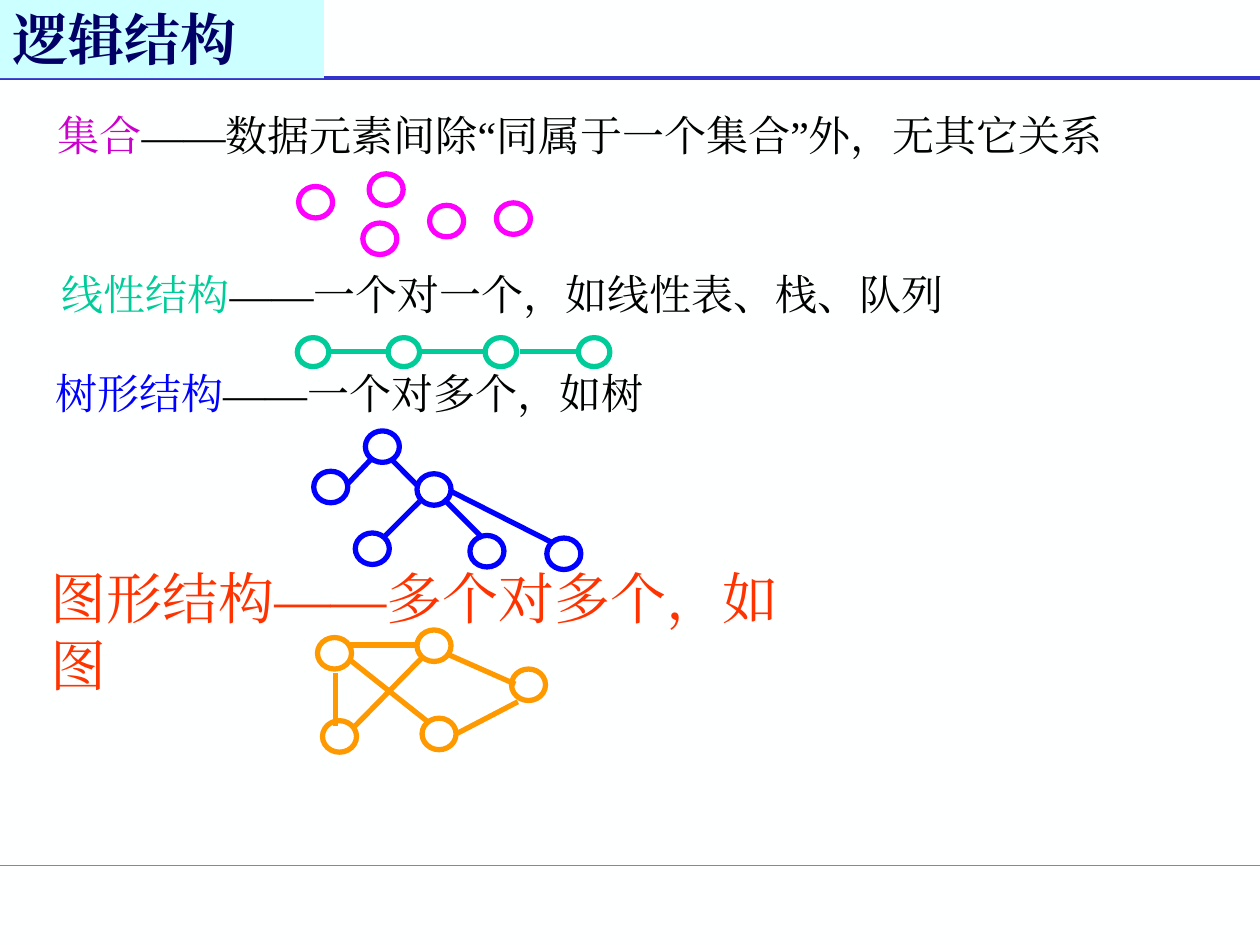
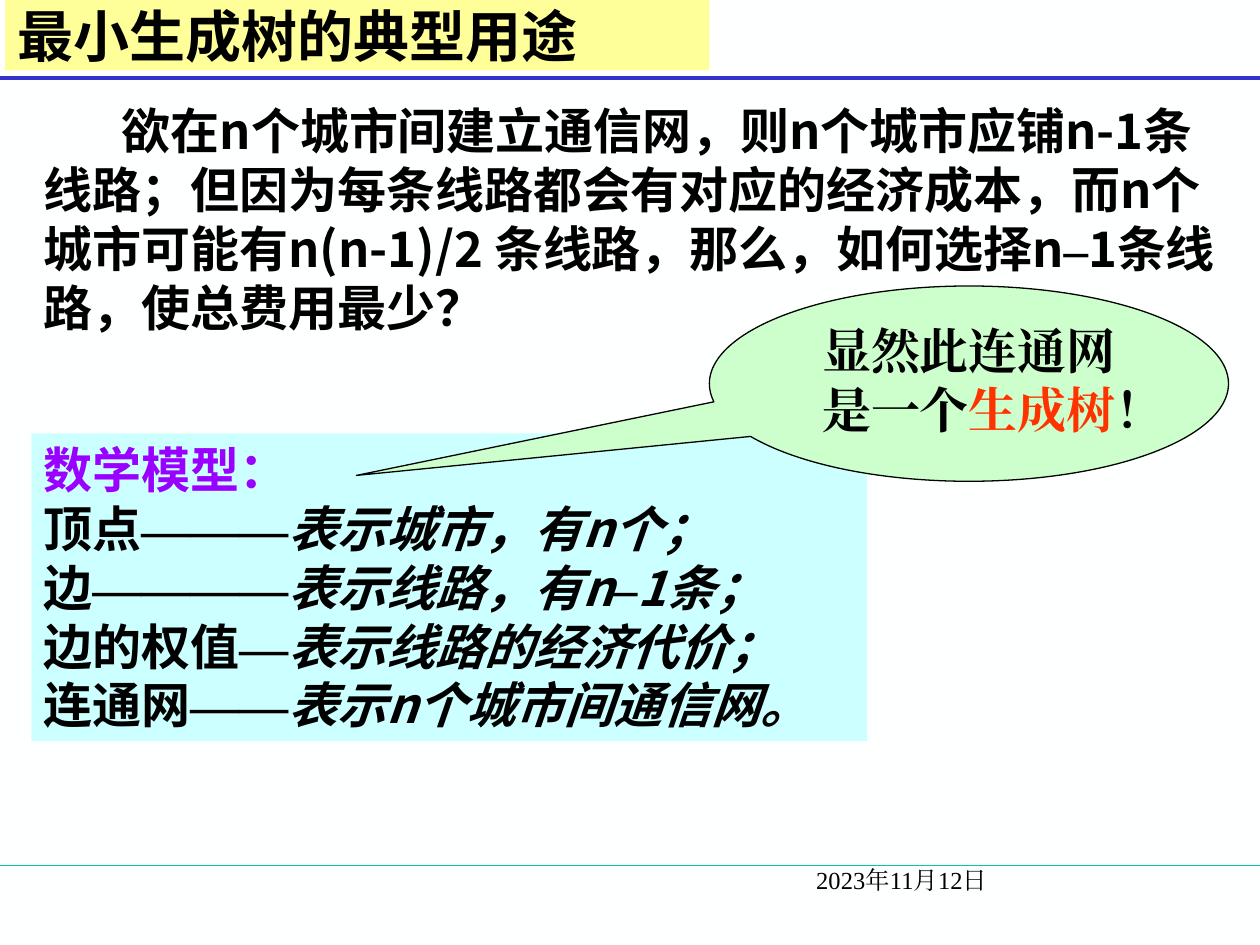
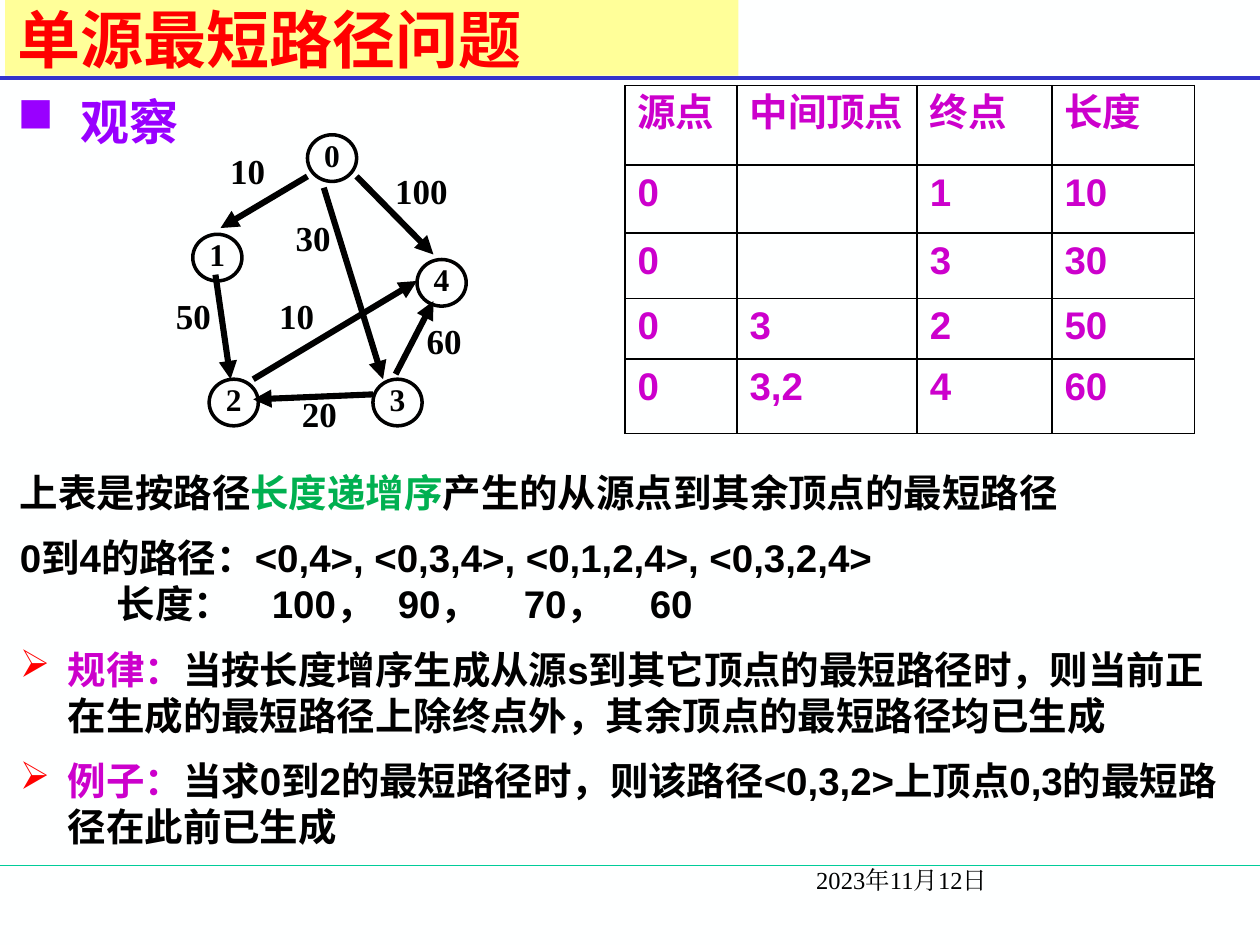
from lxml.etree import SubElement as Sub
from pptx import Presentation
from pptx.dml.color import RGBColor as Rgb
from pptx.enum.shapes import MSO_CONNECTOR as Conn, MSO_SHAPE as Kind
from pptx.enum.text import MSO_ANCHOR as Anchor, MSO_AUTO_SIZE as Fit, PP_ALIGN as Align
from pptx.oxml.ns import qn
from pptx.util import Emu, Pt

PX = 9144  # one px is a hundredth of an inch
HUE = {
    "paper": "FEFFFF", "black": "000000", "rule": "3333CC", "green": "00CC99",
    "pink": "FF00FF", "plum": "CC00CC", "blue": "0000FF", "amber": "FF9900",
    "orange": "FF3300", "navy": "000066", "cyan": "CCFFFF", "yellow": "FFFF99",
    "mint": "CCFFCC", "violet": "9900FF", "red": "FF0000", "leaf": "00B050",
}
TIMES, NOTO, ARIAL = "Times New Roman", "Noto Sans CJK SC", "Arial"


def px(num):
    return Emu(num * PX)


def rgb(name):
    return Rgb.from_string(HUE[name])


class Deck:
    def __init__(self):
        self.prs = Presentation()
        self.prs.slide_width, self.prs.slide_height = px(1000), px(750)
        back = self.prs.slide_master.background.fill
        back.solid()
        back.fore_color.rgb = rgb("paper")

    def page(self, title, box, fill, date=None, **look):
        """Start a slide with its rules, title band and date."""
        self.slide = self.prs.slides.add_slide(self.prs.slide_layouts[5])
        self.pen = self.slide.shapes
        self.line((0, 687, 1000, 687), "green", 0.75)
        self.line((0, 62, 1000, 62), "rule", 2.25)
        if date:
            self.text((540, 682, 483, 50), [date], size=14, first=98)
        head = self.slide.shapes.title
        head.element.getparent().append(head.element)
        head.left, head.top, head.width, head.height = map(px, box)
        self.paint(head, fill)
        anchor = look.pop("anchor", Anchor.MIDDLE)
        self.fill(head.text_frame, [title], anchor=anchor, bold=True, **look)

    def group(self):
        self.pen = self.slide.shapes.add_group_shape().shapes

    def ungroup(self):
        self.pen = self.slide.shapes

    def paint(self, shape, fill=None, edge=None, width=1):
        if fill:
            shape.fill.solid()
            shape.fill.fore_color.rgb = rgb(fill)
        else:
            shape.fill.background()
        if edge:
            shape.line.color.rgb = rgb(edge)
            shape.line.width = Pt(width)
        else:
            shape.line.fill.background()

    def style(self, font, size=None, face=None, hue=None, bold=None, slant=None):
        if size:
            font.size = Pt(size)
        if hue:
            font.color.rgb = rgb(hue)
        if bold is not None:
            font.bold = bold
        if slant is not None:
            font.italic = slant
        if face:
            font.name = face
            Sub(font._rPr, qn("a:ea"), typeface=face)

    def para(self, par, runs, size=24, face=TIMES, hue="black", bold=None,
             align=Align.LEFT, space=None, after=None, left=0, first=0,
             mark=None, tint=None, tabs=()):
        """Fill a paragraph; a run is a string or a (string, look) pair."""
        prop = par._p.get_or_add_pPr()
        prop.set("marL", str(px(left)))
        prop.set("indent", str(px(first)))
        if tint:
            Sub(Sub(prop, qn("a:buClr")), qn("a:srgbClr"), val=HUE[tint])
        if mark:
            Sub(prop, qn("a:buChar"), char=mark)
        else:
            Sub(prop, qn("a:buNone"))
        if tabs:
            stops = Sub(prop, qn("a:tabLst"))
            for pos in tabs:
                Sub(stops, qn("a:tab"), pos=str(px(pos)), algn="l")
        par.alignment = align
        if space:
            par.line_spacing = space
        if after:
            par.space_after = Pt(after)
        self.style(par.font, size, face, hue, bold)
        for item in [runs] if isinstance(runs, str) else runs:
            words, look = (item, {}) if isinstance(item, str) else item
            run = par.add_run()
            run.text = words
            self.style(run.font, **look)

    def fill(self, frame, paras, anchor=Anchor.TOP, wrap=True, **look):
        """Fill a frame; a paragraph is its runs or a (runs, look) pair."""
        frame.word_wrap, frame.auto_size = wrap, Fit.NONE
        frame.vertical_anchor = anchor
        for num, item in enumerate(paras):
            own = isinstance(item, tuple)
            runs, more = item if own else (item, {})
            par = frame.add_paragraph() if num else frame.paragraphs[0]
            self.para(par, runs, **{**look, **more})

    def text(self, box, paras, **look):
        area = self.pen.add_textbox(*map(px, box))
        self.fill(area.text_frame, paras, **look)

    def shape(self, kind, box, fill=None, edge=None, width=1, paras=(), **look):
        item = self.pen.add_shape(kind, *map(px, box))
        item.shadow.inherit = False
        self.paint(item, fill, edge, width)
        if paras:
            self.fill(item.text_frame, paras, **look)
        return item

    def line(self, ends, hue, width, arrow=False):
        item = self.pen.add_connector(Conn.STRAIGHT, *map(px, ends))
        item.line.color.rgb = rgb(hue)
        item.line.width = Pt(width)
        prop = item.element.spPr
        if arrow:
            Sub(prop.find(qn("a:ln")), qn("a:tailEnd"), type="triangle")
        Sub(prop, qn("a:effectLst"))

    def table(self, box, cols, rows, cells, **look):
        grid = self.pen.add_table(len(rows), len(cols), *map(px, box)).table
        grid.first_row = grid.horz_banding = False
        for col, wide in zip(grid.columns, cols):
            col.width = px(wide)
        for row, high, line in zip(grid.rows, rows, cells):
            row.height = px(high)
            for cell, words in zip(row.cells, line):
                self.para(cell.text_frame.paragraphs[0], words or [], **look)
                prop = cell._tc.get_or_add_tcPr()
                for side in ("lnL", "lnR", "lnT", "lnB"):
                    edge = Sub(prop, qn("a:" + side), w=str(Pt(1)))
                    ink = Sub(edge, qn("a:solidFill"))
                    Sub(ink, qn("a:srgbClr"), val=HUE["black"])
                cell.fill.background()


def logic(deck):
    deck.page("逻辑结构", (0, 0, 257, 62), "cyan", size=32, hue="navy",
              anchor=Anchor.BOTTOM)

    # Sketches: colour, node size, node corners, edges
    sketches = [
        ("pink", (27, 25),
         [(237, 148), (293, 138), (288, 177), (341, 163), (394, 161)], []),
        ("green", (25, 23), [(x, 268) for x in (236, 308, 385, 459)],
         [(a, 279, b, 279) for a, b in ((261, 307), (332, 386), (413, 457))]),
        ("blue", (27, 25),
         [(290, 342), (249, 374), (331, 376), (282, 423), (373, 425), (434, 427)],
         [(294, 365, 275, 385), (333, 398, 304, 427), (310, 364, 331, 385),
          (352, 396, 383, 427), (358, 390, 439, 431)]),
        ("amber", (27, 25),
         [(331, 500), (256, 572), (335, 570), (406, 531), (252, 506)],
         [(266, 534, 266, 576), (278, 524, 341, 574), (357, 520, 409, 543),
          (335, 522, 280, 578), (411, 557, 363, 582), (278, 512, 332, 512)]),
    ]
    for hue, size, nodes, edges in sketches:
        deck.group()
        for spot in nodes:
            deck.shape(Kind.OVAL, spot + size, edge=hue, width=3)
        for ends in edges:
            deck.line(ends, hue, 3)
    deck.ungroup()

    # Captions
    captions = [
        ((39, 208, 720, 50), "线性结构", "green", "——一个对一个，如线性表、栈、队列"),
        ((34, 287, 487, 50), "树形结构", "blue", "——一个对多个，如树"),
        ((36, 82, 850, 50), "集合", "plum", "——数据元素间除“同属于一个集合”外，无其它关系"),
    ]
    for box, name, hue, rest in captions:
        deck.text(box, [[(name, {"hue": hue}), rest]])
    deck.text((30, 442, 640, 63), ["图形结构——多个对多个，如图"], size=32, hue="orange")


def usage(deck, date):
    deck.page("最小生成树的典型用途", (4, 0, 559, 56), "yellow", date,
              size=32, face=NOTO)
    bold = {"size": 28, "face": NOTO, "bold": True}
    dash = ("–", {"face": TIMES})

    # Question
    deck.text((25, 75, 950, 197), [[
        "欲在n个城市间建立通信网，则n个城市应铺n-1条线路；但因为每条线路都会有对应的经济成本，"
        "而n个城市可能有n(n-1)/2 条线路，那么，如何选择n", dash, "1条线路，使总费用最少？"]],
        first=62, **bold)

    # Model
    slant = {"slant": True}
    rows = [
        ("顶点", "———", ["表示城市，有n个；"]),
        ("边", "————", ["表示线路，有n", "–", "1条；"]),
        ("边的权值", "—", ["表示线路的经济代价；"]),
        ("连通网", "——", ["表示n个城市间通信网。"]),
    ]
    thin = {"face": TIMES, **slant}
    model = [("数学模型：", {"hue": "violet"})]
    for name, bar, rest in rows:
        model.append([name, (bar, thin)]
                     + [(part, thin if part == "–" else slant) for part in rest])
    deck.shape(Kind.RECTANGLE, (25, 344, 663, 244), "cyan", paras=model,
               left=42, first=-42, **bold)

    # Callout
    bubble = deck.shape(
        Kind.OVAL_CALLOUT, (563, 227, 412, 155), "mint", "black", 0.75,
        [["显然此连通网是一个", ("生成树", {"hue": "orange"}), "！"]],
        size=28, bold=True, align=Align.CENTER)
    bubble.adjustments[0], bubble.adjustments[1] = -1.18, 0.47


def paths(deck, date):
    deck.page("单源最短路径问题", (4, 0, 582, 60), "yellow", date,
              size=36, face=NOTO, hue="red")
    deck.text((4, 68, 967, 57), ["观察"], size=28, face=NOTO, hue="violet",
              bold=True, left=50, first=-50, mark="■")

    # Weighted graph
    deck.group()
    label = {"bold": True, "align": Align.CENTER, "space": 0.8}
    costs = [("20", 223, 313), ("60", 322, 255), ("50", 123, 235), ("10", 205, 235),
             ("100", 300, 136), ("10", 166, 120), ("30", 218, 173)]
    for cost, x, y in costs:
        wide = 69 if len(cost) > 2 else 61
        deck.shape(Kind.RECTANGLE, (x, y, wide, 37), None, "paper", 2, [cost],
                   size=20, **label)
    nodes = [("0", 244, 107), ("1", 153, 186), ("3", 296, 301), ("2", 166, 301),
             ("4", 331, 206)]
    for name, x, y in nodes:
        deck.shape(Kind.OVAL, (x, y, 39, 37), None, "black", 2, [name], size=18,
                   anchor=Anchor.MIDDLE, wrap=False, **label)
    edges = [(244, 140, 175, 181), (171, 218, 183, 301), (283, 140, 344, 202),
             (296, 313, 201, 317), (314, 297, 344, 239), (201, 301, 331, 223),
             (257, 149, 304, 301)]
    for ends in edges:
        deck.line(ends, "black", 3.5, arrow=True)
    deck.ungroup()

    # Path table
    bold = {"size": 22, "face": ARIAL, "bold": True}
    cells = [("源点", "中间顶点", "终点", "长度"), ("0", "", "1", "10"),
             ("0", "", "3", "30"), ("0", "3", "2", "50"), ("0", "3,2", "4", "60")]
    deck.table((496, 68, 453, 276), (89, 143, 107, 113), (63, 54, 52, 48, 59),
               cells, hue="plum", **bold)

    # Remarks
    plum = {"hue": "plum"}
    gap = {"after": 11}
    arrow = {"mark": "➢", "tint": "red", **gap}
    deck.text((6, 367, 980, 332), [
        (["上表是按路径", ("长度递增序", {"hue": "leaf"}),
          "产生的从源点到其余顶点的最短路径"], gap),
        "0到4的路径：<0,4>, <0,3,4>, <0,1,2,4>, <0,3,2,4>",
        ("长度：\t100，\t90，\t70，\t60",
         {"left": 0, "first": 77, "tabs": (189, 313, 454, 588), **gap}),
        ([("规律：", plum), "当按长度增序生成从源s到其它顶点的最短路径时，"
          "则当前正在生成的最短路径上除终点外，其余顶点的最短路径均已生成"], arrow),
        ([("例子：", plum), "当求0到2的最短路径时，"
          "则该路径<0,3,2>上顶点0,3的最短路径在此前已生成"], arrow),
    ], left=38, first=-38, **bold)


def main():
    deck = Deck()
    date = "2023年11月12日"
    logic(deck)
    usage(deck, date)
    paths(deck, date)
    deck.prs.save("out.pptx")


if __name__ == "__main__":
    main()
